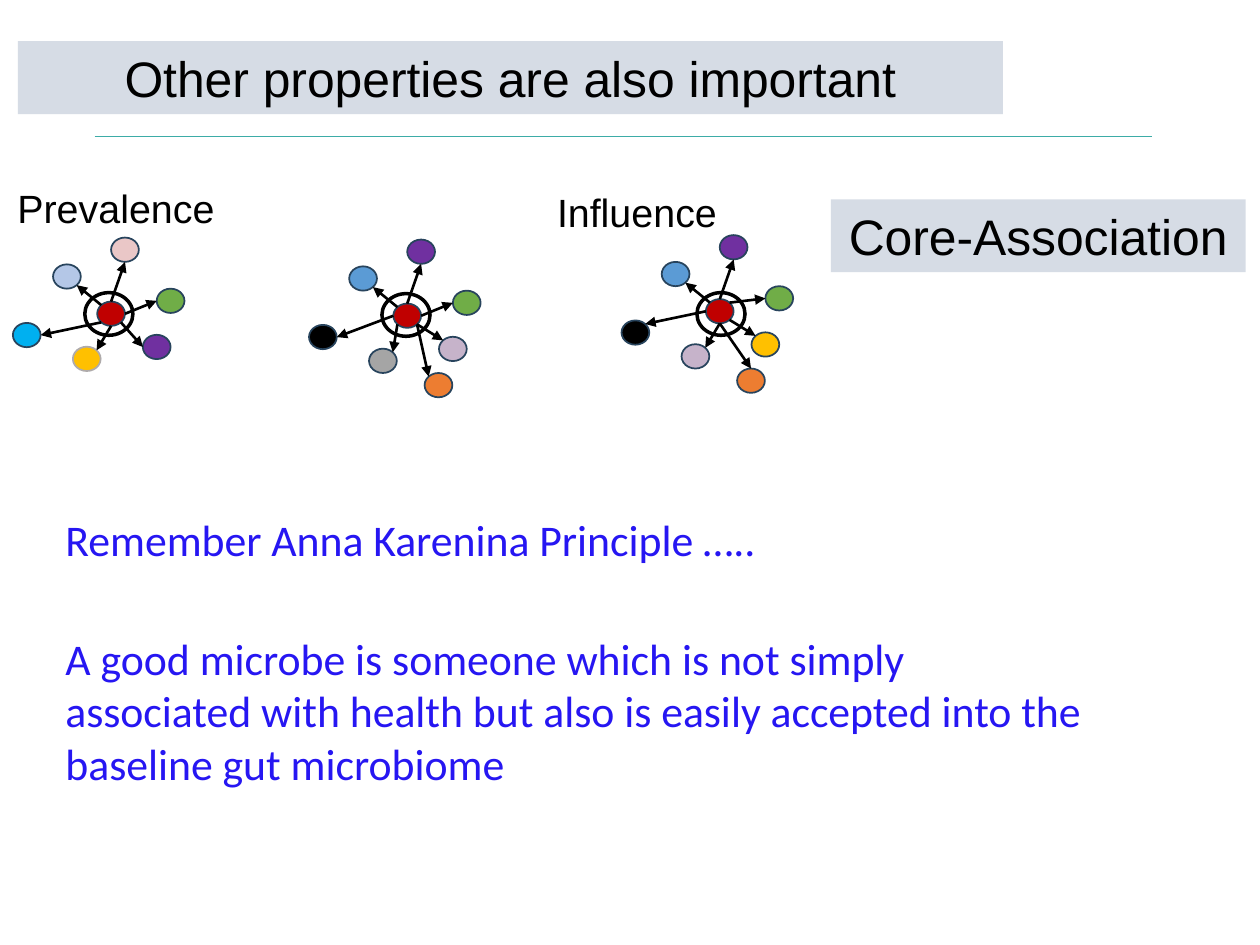
from math import cos, pi, sin

from lxml.etree import SubElement
from pptx import Presentation
from pptx.dml.color import RGBColor
from pptx.enum.shapes import MSO_CONNECTOR as CONN, MSO_SHAPE as SHAPE
from pptx.enum.text import MSO_ANCHOR as ANCHOR, MSO_AUTO_SIZE as AUTO, PP_ALIGN as ALIGN
from pptx.oxml.ns import qn
from pptx.util import Cm, Pt

BLACK = RGBColor(0x00, 0x00, 0x00)
PANEL = RGBColor(0xD6, 0xDC, 0xE5)
TEAL = RGBColor(0x3D, 0xAC, 0xA7)
INK_BLUE = RGBColor(0x26, 0x16, 0xF2)
OUTLINE = RGBColor(0x28, 0x44, 0x5D)
SILVER = RGBColor(0xAF, 0xAB, 0xAB)
RED = RGBColor(0xC0, 0x00, 0x00)
PALE_BLUE = RGBColor(0xB4, 0xC7, 0xE7)
BLUE = RGBColor(0x5B, 0x9B, 0xD5)
CYAN = RGBColor(0x00, 0xB0, 0xF0)
YELLOW = RGBColor(0xFF, 0xC0, 0x00)
PINK = RGBColor(0xEA, 0xC7, 0xC7)
GREEN = RGBColor(0x70, 0xAD, 0x47)
PURPLE = RGBColor(0x70, 0x30, 0xA0)
GRAY = RGBColor(0xA5, 0xA5, 0xA5)
ORANGE = RGBColor(0xED, 0x7D, 0x31)
LILAC = RGBColor(0xC6, 0xB3, 0xCA)

DOT_W, DOT_H = 0.56, 0.49
RING_W, RING_H = 0.97, 0.86
# Places of the neighbours relative to the hub, in cm
NEIGHBOURS = {
    "upper left": (-0.89, -0.75),
    "lower left": (-0.49, 0.91),
    "left": (-1.7, 0.43),
    "top": (0.28, -1.29),
    "bottom": (0.63, 1.4),
    "right": (1.2, -0.26),
    "lower right": (0.92, 0.67),
}
# Compass points on a dot, clockwise from east in eighths of a turn
COMPASS = ("E", "SE", "S", "SW", "W", "NW", "N", "NE")

# Hub position, ring position, then
# place: (colour, point on hub, point on neighbour, outline if not the usual one)
NETWORKS = [
    ((1.96, 6.08), (1.71, 5.9), {
        "upper left": (PALE_BLUE, "NW", "SE"),
        "lower left": (YELLOW, "S", "NE", SILVER),
        "left": (CYAN, "SW", "E"),
        "top": (PINK, "N", "S"),
        "right": (GREEN, "E", "W"),
        "lower right": (PURPLE, "SE", "W"),
    }),
    ((7.93, 6.12), (7.7, 5.92), {
        "upper left": (BLUE, "NW", "SE"),
        "lower left": (GRAY, "SW", "NE"),
        "left": (BLACK, "W", "E"),
        "top": (PURPLE, "N", "S"),
        "bottom": (ORANGE, "SE", "NW"),
        "right": (GREEN, "E", "W"),
        "lower right": (LILAC, "SE", "NW"),
    }),
    ((14.23, 6.03), (14.05, 5.9), {
        "upper left": (BLUE, "NW", "SE"),
        "lower left": (LILAC, "S", "NE"),
        "left": (BLACK, "W", "NE"),
        "top": (PURPLE, "N", "S"),
        "bottom": (ORANGE, "S", "N"),
        "right": (GREEN, "NE", "W"),
        "lower right": (YELLOW, "SE", "NW"),
    }),
]


def write(sp, text, *, size, font="Arial", color=BLACK, align=ALIGN.LEFT,
          anchor=ANCHOR.TOP, wrap=True):
    tf = sp.text_frame
    tf.auto_size, tf.word_wrap, tf.vertical_anchor = AUTO.NONE, wrap, anchor
    p = tf.paragraphs[0]
    p.alignment = align
    r = p.add_run()
    r.text = text
    r.font.name, r.font.size, r.font.color.rgb = font, Pt(size), color


def add_text(slide, box, text, **fmt):
    sp = slide.shapes.add_textbox(*map(Cm, box))
    write(sp, text, **fmt)


def add_shape(slide, kind, box, fill=None, line=None, width=1):
    sp = slide.shapes.add_shape(kind, *map(Cm, box))
    sp.shadow.inherit = False
    if fill is None:
        sp.fill.background()
    else:
        sp.fill.solid()
        sp.fill.fore_color.rgb = fill
    if line is None:
        sp.line.fill.background()
    else:
        sp.line.color.rgb = line
        sp.line.width = Pt(width)
    return sp


def add_line(slide, start, end, color, width, arrow=False):
    s = slide.shapes.add_connector(CONN.STRAIGHT, *map(Cm, (*start, *end)))
    s.line.color.rgb = color
    s.line.width = Pt(width)
    if arrow:
        SubElement(s.line._get_or_add_ln(), qn("a:tailEnd"), type="triangle")
    SubElement(s._element.spPr, qn("a:effectLst"))


def rim(corner, point):
    """Return the place of a compass point on the edge of a dot."""
    angle = COMPASS.index(point) * pi / 4
    return (corner[0] + DOT_W / 2 * (1 + cos(angle)),
            corner[1] + DOT_H / 2 * (1 + sin(angle)))


def add_title(slide, box):
    sp = slide.shapes.title
    sp.left, sp.top, sp.width, sp.height = map(Cm, box)
    sp.fill.solid()
    sp.fill.fore_color.rgb = PANEL
    write(sp, "Other properties are also important", size=28.5,
          align=ALIGN.CENTER, anchor=ANCHOR.MIDDLE)


def add_callout(slide, box):
    sp = add_shape(slide, SHAPE.RECTANGLE, box, PANEL)
    write(sp, "Core-Association", size=28.5, align=ALIGN.CENTER, anchor=ANCHOR.MIDDLE)


def add_network(slide, hub, ring, neighbours):
    def dot(corner, color, line=OUTLINE):
        add_shape(slide, SHAPE.OVAL, (*corner, DOT_W, DOT_H), color, line)

    corners = {place: (hub[0] + NEIGHBOURS[place][0], hub[1] + NEIGHBOURS[place][1])
               for place in neighbours}
    dot(hub, RED)
    for place, (color, _, _, *line) in neighbours.items():
        dot(corners[place], color, *line)
    for place, (_, start, end, *_) in neighbours.items():
        add_line(slide, rim(hub, start), rim(corners[place], end), BLACK, 1.5, arrow=True)
    add_shape(slide, SHAPE.OVAL, (*ring, RING_W, RING_H), line=BLACK, width=2)


def add_message(slide, left, top, width):
    fmt = dict(size=25, font="Calibri", color=INK_BLUE)
    add_text(slide, (left, top, width, 1.32), "Remember Anna Karenina Principle …..", **fmt)
    add_text(slide, (left, top + 2.4, width, 3.45),
             "A good microbe is someone which is not simply associated with health "
             "but also is easily accepted into the baseline gut microbiome", **fmt)


def main():
    prs = Presentation()
    prs.slide_width, prs.slide_height = Cm(25.4), Cm(19.05)
    slide = prs.slides.add_slide(prs.slide_layouts[5])
    add_line(slide, (1.91, 2.75), (23.22, 2.75), TEAL, 0.5)
    add_title(slide, (0.36, 0.83, 19.86, 1.47))
    for network in NETWORKS:
        add_network(slide, *network)
    add_text(slide, (0.1, 3.58, 4.52, 1.22), "Prevalence", size=22.5, wrap=False)
    add_text(slide, (10.98, 3.67, 3.76, 1.22), "Influence", size=22.5, wrap=False)
    add_callout(slide, (16.75, 4.02, 8.36, 1.47))
    add_message(slide, 1.07, 10.21, 21.1)
    prs.save("out.pptx")


if __name__ == "__main__":
    main()
